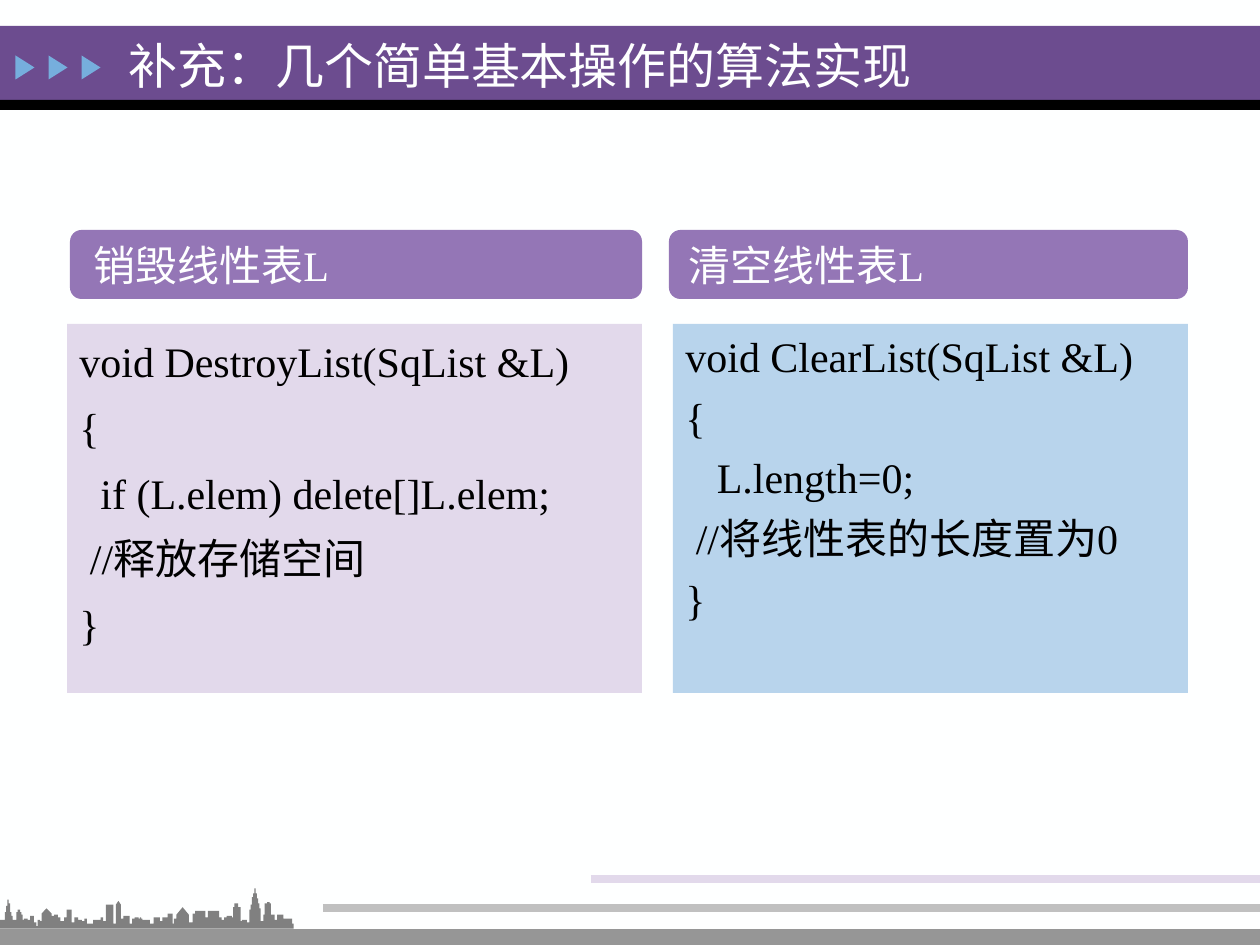
from pptx import Presentation
from pptx.dml.color import RGBColor
from pptx.enum.shapes import MSO_CONNECTOR, MSO_SHAPE
from pptx.enum.text import MSO_ANCHOR, MSO_AUTO_SIZE, PP_ALIGN
from pptx.oxml.ns import qn
from pptx.util import Pt
from lxml import etree

PX = 914400 // 126
WIDE, HIGH = 1260, 945
FONT = "Times New Roman"
RECT, ROUND = MSO_SHAPE.RECTANGLE, MSO_SHAPE.ROUNDED_RECTANGLE
TRIANGLE = MSO_SHAPE.ISOSCELES_TRIANGLE
LEFT, JUST = PP_ALIGN.LEFT, PP_ALIGN.JUSTIFY
TOP, MIDDLE = MSO_ANCHOR.TOP, MSO_ANCHOR.MIDDLE

WHITE = RGBColor(0xFE, 0xFF, 0xFF)
BLACK = RGBColor(0, 0, 0)
PURPLE = RGBColor(0x6C, 0x4C, 0x8F)
MAUVE = RGBColor(0x94, 0x76, 0xB6)
LILAC = RGBColor(0xE2, 0xD9, 0xEB)
SKY = RGBColor(0xB8, 0xD4, 0xEC)
BLUE = RGBColor(0x76, 0xAE, 0xDD)
DARK = RGBColor(0x80, 0x80, 0x80)
GRAY = RGBColor(0x96, 0x96, 0x96)
SILVER = RGBColor(0xC0, 0xC0, 0xC0)

TITLE = "补充：几个简单基本操作的算法实现"
PANELS = [
    dict(head="销毁线性表L", bar=(70, 572), pad=20, box=(67, 575),
         fill=LILAC, align=JUST, lead=1.1,
         code=["void DestroyList(SqList &L)", "{",
               "  if (L.elem) delete[]L.elem;", " //释放存储空间", "}"]),
    dict(head="清空线性表L", bar=(669, 519), pad=16, box=(673, 515),
         fill=SKY, align=LEFT, lead=1.0,
         code=["void ClearList(SqList &L)", "{", "   L.length=0;",
               " //将线性表的长度置为0", "}"]),
]
# Footer lines: start x, y, colour, points
LINES = [(0, 939, GRAY, 11.25), (323, 908, SILVER, 4.5),
         (591, 879, LILAC, 4.5)]
# Skyline steps: x and height above its base, in 1/100 inch
STEPS = [
    (0, 7), (4, 13), (5, 18), (6, 23), (7, 20), (8, 13), (9, 10), (10, 7),
    (13, 13), (14, 15), (16, 13), (17, 11), (18, 7), (19, 8), (22, 7),
    (24, 10), (27, 5), (29, 2), (30, 7), (32, 6), (33, 12), (41, 10),
    (43, 11), (46, 9), (48, 6), (51, 9), (53, 15), (57, 5), (59, 9),
    (62, 7), (65, 6), (67, 8), (69, 4), (74, 7), (80, 9), (82, 6),
    (84, 19), (90, 4), (92, 19), (96, 8), (98, 10), (103, 4), (105, 8),
    (107, 9), (110, 8), (111, 9), (112, 8), (113, 7), (119, 4), (122, 9),
    (127, 6), (129, 9), (133, 12), (137, 4), (138, 8), (140, 11), (150, 5),
    (153, 12), (155, 14), (163, 9), (165, 14), (174, 9), (176, 7),
    (178, 9), (180, 10), (184, 9), (185, 17), (186, 20), (189, 17),
    (191, 6), (192, 7), (196, 5), (198, 15), (199, 19), (200, 25),
    (201, 28), (202, 32), (203, 28), (204, 24), (205, 20), (206, 16),
    (207, 6), (209, 11), (210, 20), (212, 21), (214, 20), (215, 11),
    (218, 7), (220, 11), (225, 8), (232, 4), (233, 0),
]
ROOFS = {33: (37, 16), 92: (94, 22), 140: (145, 17)}  # step x: peak
BASE = 737


def paint(shape, color):
    shape.shadow.inherit = False
    shape.fill.solid()
    shape.fill.fore_color.rgb = color
    shape.line.fill.background()


def block(kind, x, y, w, h, color):
    shape = slide.shapes.add_shape(kind, x * PX, y * PX, w * PX, h * PX)
    paint(shape, color)
    return shape


def write(shape, lines, size, color, anchor, align=LEFT, lead=1.0, gap=0):
    frame = shape.text_frame
    frame.text = "\n".join(lines)
    frame.word_wrap = True
    frame.auto_size = MSO_AUTO_SIZE.NONE
    frame.vertical_anchor = anchor
    for para in frame.paragraphs:
        para.alignment = align
        para.line_spacing = lead
        para.space_before = Pt(gap)
        for run in para.runs:
            run.font.name = FONT
            run.font.size = Pt(size)
            run.font.color.rgb = color


deck = Presentation()
deck.slide_width, deck.slide_height = WIDE * PX, HIGH * PX
slide = deck.slides.add_slide(deck.slide_layouts[5])
slide.background.fill.solid()
slide.background.fill.fore_color.rgb = WHITE

# Title band with arrows
block(RECT, 0, 26, WIDE, 74, PURPLE)
block(RECT, 0, 100, WIDE, 10, BLACK)
for i in range(3):
    block(TRIANGLE, 13 + 33 * i, 58, 24, 19, BLUE).rotation = 90

title = slide.shapes.title
title.left, title.top = 116 * PX, 29 * PX
title.width, title.height = 1023 * PX, 72 * PX
write(title, [TITLE], 28, WHITE, MIDDLE)
tree = slide.shapes._spTree
tree.remove(title._element)
tree.append(title._element)  # above the band

# Code panels with headings
for panel in PANELS:
    x, w = panel["box"]
    box = block(RECT, x, 324, w, 369, panel["fill"])
    write(box, panel["code"], 24, BLACK, TOP,
          panel["align"], panel["lead"], 6)
    x, w = panel["bar"]
    bar = block(ROUND, x, 230, w, 69, MAUVE)
    write(bar, [panel["head"]], 24, WHITE, MIDDLE)
    bar.text_frame.margin_left = panel["pad"] * PX

# Footer lines
for x, y, color, size in LINES:
    line = slide.shapes.add_connector(
        MSO_CONNECTOR.STRAIGHT, x * PX, y * PX, WIDE * PX, y * PX)
    line.line.color.rgb = color
    line.line.width = Pt(size)
    etree.SubElement(line._element.spPr, qn("a:effectLst"))

# Skyline
points, last = [], 0
for x, rise in STEPS:
    points += [(x, BASE - last), (x, BASE - rise)]
    if x in ROOFS:
        peak, top = ROOFS[x]
        points.append((peak, BASE - top))
    last = rise
path = slide.shapes.build_freeform(*points[0], scale=9144)
path.add_line_segments(points[1:], close=True)
paint(path.convert_to_shape(), DARK)

deck.save("out.pptx")
